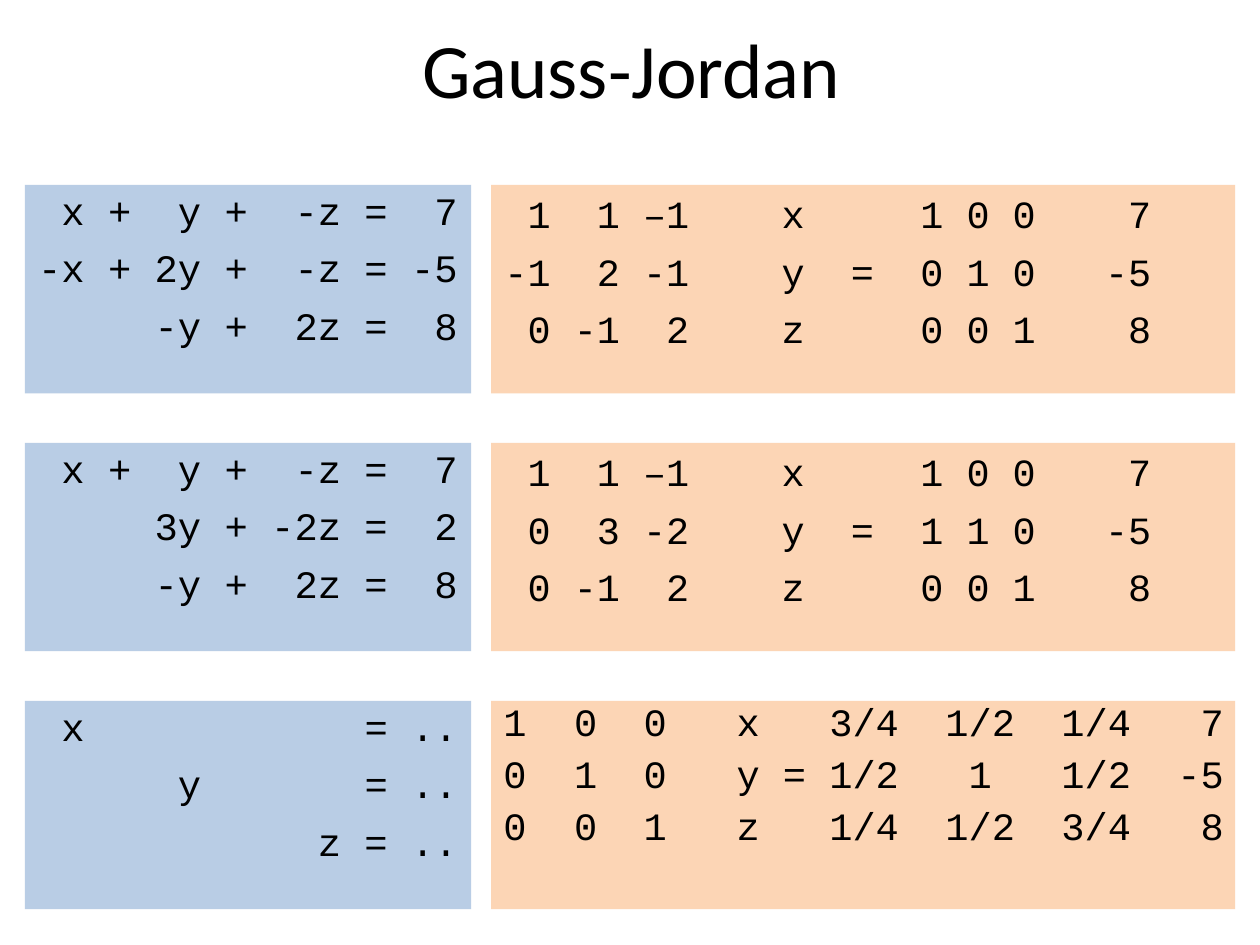
from pptx import Presentation
from pptx.dml.color import RGBColor as RGB
from pptx.enum.shapes import MSO_SHAPE as Shape
from pptx.enum.text import MSO_ANCHOR as Anchor, PP_ALIGN as Align
from pptx.oxml.xmlchemy import OxmlElement as Node
from pptx.util import Cm, Pt

BLACK = RGB(0x00, 0x00, 0x00)
BLUE = RGB(0xB9, 0xCD, 0xE5)
PEACH = RGB(0xFC, 0xD5, 0xB5)


class Deck:
    """Draws titles and panels of column-aligned text on one slide."""

    head = "Calibri"
    mono = "Courier New"
    ratio = 0.6
    nudge = Cm(0.02)

    def __init__(self):
        self.prs = Presentation()
        self.prs.slide_width, self.prs.slide_height = Cm(25.4), Cm(19.05)
        self.slide = self.prs.slides.add_slide(self.prs.slide_layouts[6])

    def run(self, para, text, font, size):
        run = para.add_run()
        run.text = text
        run.font.name, run.font.size = font, Pt(size)
        run.font.color.rgb = BLACK

    def title(self, text, left, top, width, height):
        box = self.slide.shapes.add_textbox(Cm(left), Cm(top), Cm(width), Cm(height))
        frame = box.text_frame
        frame.word_wrap = True
        frame.vertical_anchor = Anchor.MIDDLE
        para = frame.paragraphs[0]
        para.alignment = Align.CENTER
        self.run(para, text, self.head, 44)

    def tabs(self, para, stops, size):
        tabs = Node("a:tabLst")
        for col, side in stops:
            tab = Node("a:tab")
            tab.set("pos", str(int(Pt(col * self.ratio * size) + self.nudge)))
            tab.set("algn", side)
            tabs.append(tab)
        para._p.get_or_add_pPr().append(tabs)

    def panel(self, rows, stops, spot, fill, size, lead=None, line=None):
        left, top, width, height = map(Cm, spot)
        box = self.slide.shapes.add_shape(Shape.RECTANGLE, left, top, width, height)
        box.shadow.inherit = False
        box.fill.solid()
        box.fill.fore_color.rgb = fill
        box.line.fill.background()
        frame = box.text_frame
        frame.word_wrap = True
        frame.vertical_anchor = Anchor.TOP
        frame.margin_top, frame.margin_right = Cm(0.04), 0
        for i, row in enumerate(rows):
            para = frame.paragraphs[0] if i == 0 else frame.add_paragraph()
            para.alignment = Align.LEFT
            para.space_before = Pt(6)
            if line:
                para.line_spacing = line
            self.tabs(para, stops, size)
            if lead and i == 0:
                self.run(para, "\t", self.mono, lead)
                row = row[1:]
            self.run(para, row, self.mono, size)

    def save(self):
        self.prs.save("out.pptx")


def right(*cols):
    return [(col, "r") for col in cols]


SUMS = right(4, 9, 15, 18)
GRID = right(2, 5, 8, 13, 16, 23, 28)
LAST = right(4, 7, 11, 13, 17) + [(20.5, "ctr")] + right(27, 31)

STEPS = [
    (
        (["\tx +\ty +\t-z =\t7", "\t-x +\t2y +\t-z =\t-5", "\t\t-y +\t2z =\t8"], SUMS),
        (["\t1\t1\t–1\tx\t\t1 0 0\t7", "\t-1\t2\t-1\ty\t=\t0 1 0\t-5",
          "\t0\t-1\t2\tz\t\t0 0 1\t8"], GRID),
        dict(size=22, lead=24),
    ),
    (
        (["\tx +\ty +\t-z =\t7", "\t\t3y +\t-2z =\t2", "\t\t-y +\t2z =\t8"], SUMS),
        (["\t1\t1\t–1\tx\t\t1 0 0\t7", "\t0\t3\t-2\ty\t=\t1 1 0\t-5",
          "\t0\t-1\t2\tz\t\t0 0 1\t8"], GRID),
        dict(size=22, lead=24),
    ),
    (
        (["\tx\t\t=\t..", "\t\ty\t=\t..", "\t\t\tz =\t.."], right(2, 7, 15, 18)),
        (["1\t0\t0\tx\t\t3/4\t1/2\t1/4\t7", "0\t1\t0\ty\t=\t1/2\t1\t1/2\t-5",
          "0\t0\t1\tz\t\t1/4\t1/2\t3/4\t8"], LAST),
        dict(size=22.1, line=0.9),
    ),
]

deck = Deck()
deck.title("Gauss-Jordan", 1.3, 0, 22.86, 2.72)
for step, (sums, grid, style) in enumerate(STEPS):
    top = 3.73 + 5.2 * step
    deck.panel(*sums, (0.5, top, 9, 4.2), BLUE, size=22.2)
    deck.panel(*grid, (9.9, top, 15, 4.2), PEACH, **style)
deck.save()
